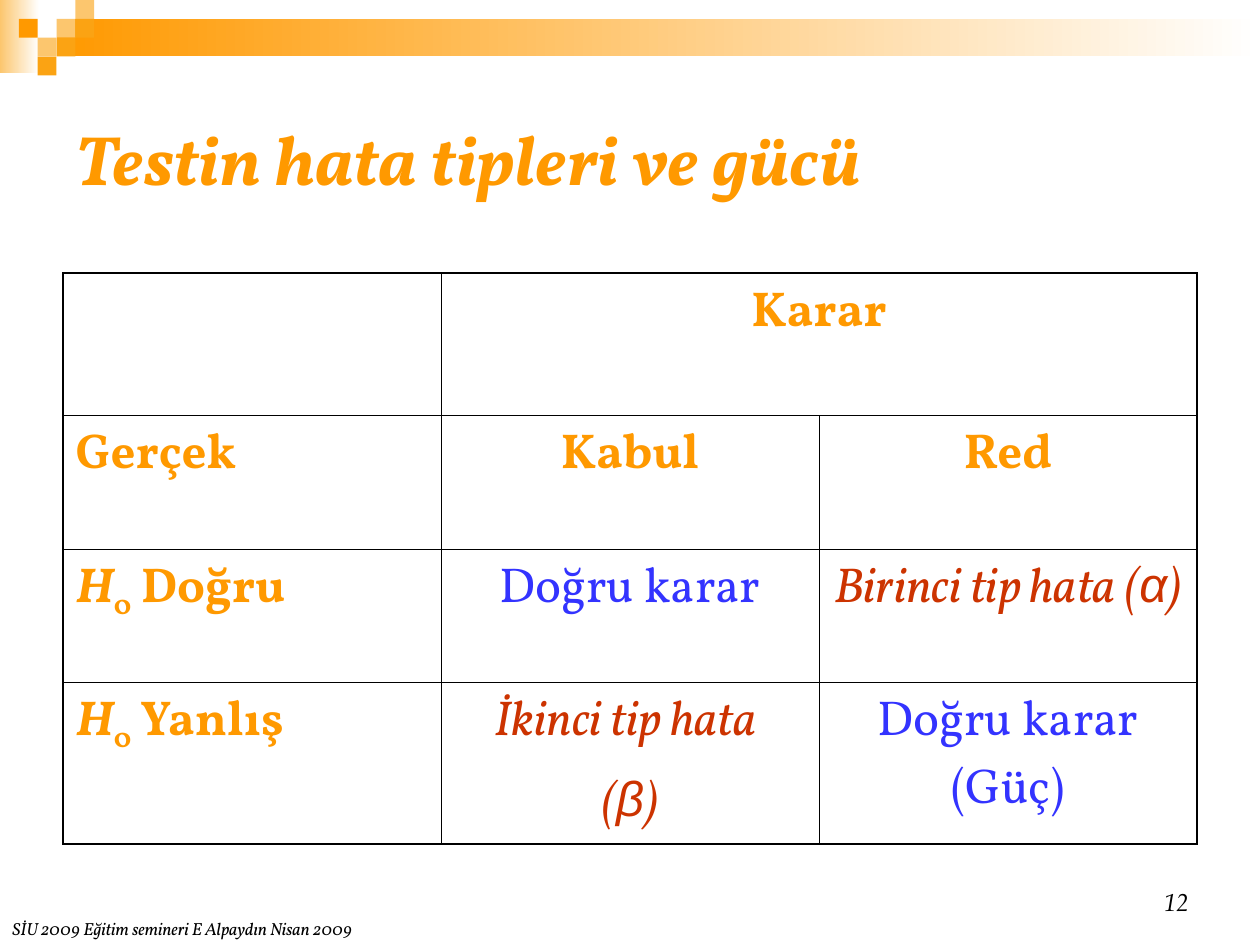
import pptx
import pptx.dml.color
import pptx.enum.shapes
import pptx.enum.text
import pptx.oxml.ns
import lxml.etree
from pptx.util import Cm

ORANGE = pptx.dml.color.RGBColor(0xFF, 0x99, 0x00)
AMBER = pptx.dml.color.RGBColor(0xFB, 0xA3, 0x13)
PALE = pptx.dml.color.RGBColor(0xFC, 0xC6, 0x6E)
WHITE = pptx.dml.color.RGBColor(0xFF, 0xFF, 0xFF)
BLACK = pptx.dml.color.RGBColor(0x00, 0x00, 0x00)
BLUE = pptx.dml.color.RGBColor(0x33, 0x33, 0xFF)
RED = pptx.dml.color.RGBColor(0xCC, 0x33, 0x00)

SERIF = "Vollkorn"
LEFT = pptx.enum.text.PP_ALIGN.LEFT
CENTER = pptx.enum.text.PP_ALIGN.CENTER
RIGHT = pptx.enum.text.PP_ALIGN.RIGHT
MIDDLE = pptx.enum.text.MSO_ANCHOR.MIDDLE
BOTTOM = pptx.enum.text.MSO_ANCHOR.BOTTOM

SQUARE = 0.38  # side of one ornament square, in cm
OUTER, INNER = 1.08, 0.45  # table line widths, in points

# Ornament squares: column, row, colour
SQUARES = [(3, 1, PALE), (4, 0, PALE), (4, 1, AMBER), (2, 2, PALE),
           (1, 1, ORANGE), (3, 2, AMBER), (2, 3, AMBER)]

# Run styles of the table: colour, bold, italic, font, subscript
HEAD = (ORANGE, True, False, SERIF, False)
SYMBOL = (ORANGE, True, True, SERIF, False)
INDEX = (ORANGE, True, False, SERIF, True)
CORRECT = (BLUE, False, False, SERIF, False)
ERROR = (RED, False, True, SERIF, False)
GREEK = (RED, False, True, "Arial", False)

# Each cell is a list of paragraphs, each paragraph a list of runs
ROWS = [
    [[], [[("Karar", HEAD)]], []],
    [[[("Gerçek", HEAD)]], [[("Kabul", HEAD)]], [[("Red", HEAD)]]],
    [[[("H", SYMBOL), ("0", INDEX), (" Doğru", HEAD)]],
     [[("Doğru karar", CORRECT)]],
     [[("Birinci tip hata (", ERROR), ("α", GREEK), (")", ERROR)]]],
    [[[("H", SYMBOL), ("0", INDEX), (" Yanlış", HEAD)]],
     [[("İkinci tip hata ", ERROR)],
      [("(", ERROR), ("β", GREEK), (")", ERROR)]],
     [[("Doğru karar (Güç)", CORRECT)]]],
]
ROW_HEIGHTS = [2.87, 2.69, 2.69, 2.87]


def add_run(para, text, size, color, bold=False, italic=False, font=SERIF, subscript=False):
    span = para.add_run()
    span.text = text
    span.font.size = pptx.util.Pt(size)
    span.font.name = font
    span.font.bold = bold
    span.font.italic = italic
    span.font.color.rgb = color
    if subscript:
        span._r.get_or_add_rPr().set("baseline", "-25000")


def add_block(page, left, top, width, height, color, fade=False):
    block = page.shapes.add_shape(pptx.enum.shapes.MSO_SHAPE.RECTANGLE,
                                  Cm(left), Cm(top), Cm(width), Cm(height))
    block.shadow.inherit = False
    block.line.fill.background()
    if fade:
        block.fill.gradient()
        block.fill.gradient_angle = 180
        for stop, shade in zip(block.fill.gradient_stops, (WHITE, color)):
            stop.color.rgb = shade
    else:
        block.fill.solid()
        block.fill.fore_color.rgb = color


def add_ornament(page):
    add_block(page, 0, 0, 0.79, 1.47, PALE, fade=True)
    add_block(page, 3 * SQUARE, SQUARE, 25.4 - 3 * SQUARE, 2 * SQUARE, ORANGE, fade=True)
    for column, row, color in SQUARES:
        add_block(page, column * SQUARE, row * SQUARE, SQUARE, SQUARE, color)


def fill_title(page, text):
    title = page.shapes.title
    title.left, title.top, title.width, title.height = Cm(1.27), Cm(1.27), Cm(22.86), Cm(3.81)
    frame = title.text_frame
    frame.auto_size = pptx.enum.text.MSO_AUTO_SIZE.NONE
    frame.vertical_anchor = MIDDLE
    para = frame.paragraphs[0]
    para.alignment = LEFT
    add_run(para, text, 40, ORANGE, bold=True, italic=True)


def add_border(cell, side, width):
    line = lxml.etree.SubElement(cell._tc.get_or_add_tcPr(), pptx.oxml.ns.qn("a:ln" + side),
                                 w=str(pptx.util.Pt(width)))
    fill = lxml.etree.SubElement(line, pptx.oxml.ns.qn("a:solidFill"))
    lxml.etree.SubElement(fill, pptx.oxml.ns.qn("a:srgbClr"), val=str(BLACK))


def fill_cell(cell, paragraphs, alignment):
    frame = cell.text_frame
    for number, runs in enumerate(paragraphs):
        para = frame.add_paragraph() if number else frame.paragraphs[0]
        para.alignment = alignment
        if number:
            para.space_before = pptx.util.Pt(7)
        for text, style in runs:
            add_run(para, text, 28, *style)


def add_decision_table(page):
    row_count, column_count = len(ROWS), len(ROWS[0])
    table = page.shapes.add_table(row_count, column_count, Cm(1.27), Cm(5.51),
                                  Cm(22.86), Cm(sum(ROW_HEIGHTS))).table
    table.first_row = table.horz_banding = False
    for row, height in zip(table.rows, ROW_HEIGHTS):
        row.height = Cm(height)
    table.cell(0, 1).merge(table.cell(0, 2))

    for r, row in enumerate(ROWS):
        for c, paragraphs in enumerate(row):
            cell = table.cell(r, c)
            if not cell.is_spanned:
                last = c + cell.span_width
                edges = {"L": c == 0, "R": last == column_count,
                         "T": r == 0, "B": r == row_count - 1}
                for side, outside in edges.items():
                    add_border(cell, side, OUTER if outside else INNER)
                fill_cell(cell, paragraphs, CENTER if c else LEFT)
            cell.fill.background()


def add_label(page, left, top, width, height, text, size, alignment, font=SERIF):
    box = page.shapes.add_textbox(Cm(left), Cm(top), Cm(width), Cm(height))
    frame = box.text_frame
    frame.word_wrap = True
    frame.vertical_anchor = BOTTOM
    para = frame.paragraphs[0]
    para.alignment = alignment
    add_run(para, text, size, BLACK, italic=True, font=font)


def main():
    deck = pptx.Presentation()
    deck.slide_width, deck.slide_height = Cm(25.4), Cm(19.05)
    page = deck.slides.add_slide(deck.slide_layouts[5])

    # Band and squares along the top
    add_ornament(page)

    # Title and table
    fill_title(page, "Testin hata tipleri ve gücü")
    add_decision_table(page)

    # Footer and page number
    add_label(page, 0, 18.44, 16.79, 0.61,
              "SİU 2009 Eğitim semineri E Alpaydın Nisan 2009", 10, LEFT)
    add_label(page, 18.29, 17.32, 5.92, 1.27, "12", 14, RIGHT, "TeX Gyre Pagella")

    deck.save("out.pptx")


if __name__ == "__main__":
    main()
